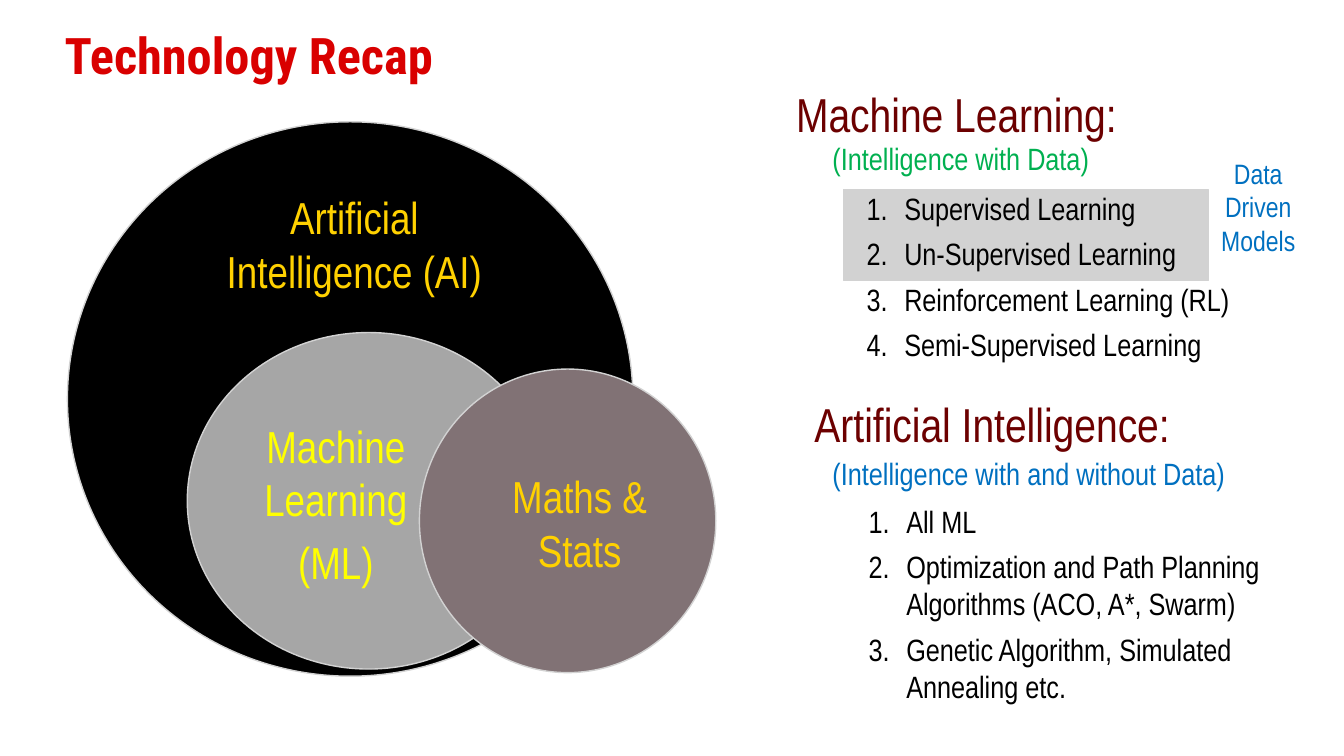
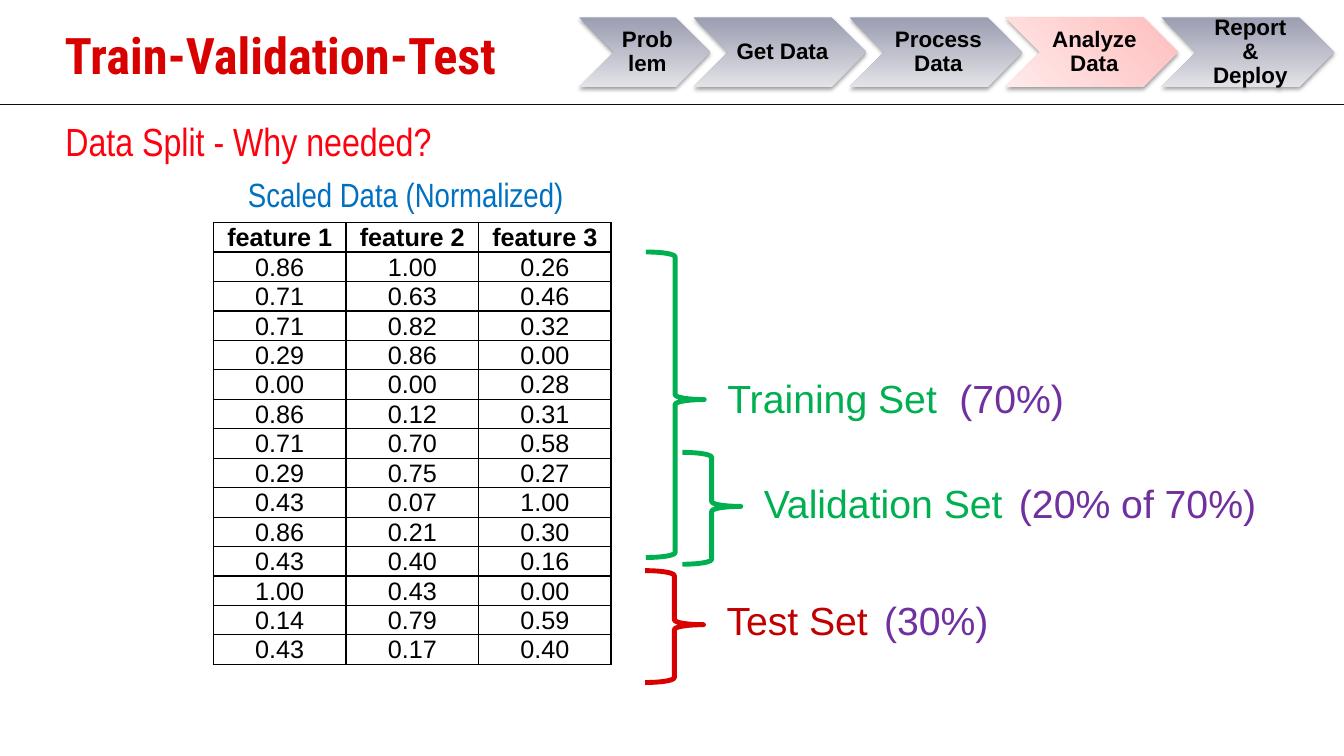
from lxml.etree import SubElement
from pptx import Presentation
from pptx.dml.color import RGBColor
from pptx.enum.shapes import MSO_CONNECTOR, MSO_SHAPE
from pptx.enum.text import MSO_ANCHOR, MSO_AUTO_SIZE, PP_ALIGN
from pptx.oxml.ns import qn
from pptx.util import Cm, Pt

COLORS = {
    "black": "000000", "white": "FFFFFF", "rule": "0D0D0D",
    "outline": "D2D2D2", "gray": "A6A6A6", "mauve": "817275",
    "red": "D90000", "bright red": "FF000F", "dark red": "C00000", "maroon": "6C0000",
    "gold": "FFD100", "yellow": "FFFF00", "green": "00B050", "blue": "0070C0",
    "purple": "7030A0", "step top": "9B9DB1", "step bottom": "E2E2E7",
    "active top": "FFBDBD", "active bottom": "FFEAEA",
}
NARROW, BODY, HEADING = "Arial Narrow", "Arial", "Roboto Condensed"
TITLE_BOX = (1.63, 0.6, 12.1, 1.98)
SLIDE_WIDTH, SLIDE_HEIGHT = 33.87, 19.05

STEPS = ["Problem", "Get Data", "Process Data", "Analyze Data", "Report & Deploy"]
ACTIVE_STEP = "Analyze Data"

SCALED_DATA = [
    ("feature 1", "feature 2", "feature 3"),
    ("0.86", "1.00", "0.26"),
    ("0.71", "0.63", "0.46"),
    ("0.71", "0.82", "0.32"),
    ("0.29", "0.86", "0.00"),
    ("0.00", "0.00", "0.28"),
    ("0.86", "0.12", "0.31"),
    ("0.71", "0.70", "0.58"),
    ("0.29", "0.75", "0.27"),
    ("0.43", "0.07", "1.00"),
    ("0.86", "0.21", "0.30"),
    ("0.43", "0.40", "0.16"),
    ("1.00", "0.43", "0.00"),
    ("0.14", "0.79", "0.59"),
    ("0.43", "0.17", "0.40"),
]


def rgb(color):
    return RGBColor.from_string(COLORS[color])


def lengths(box):
    return [Cm(value) for value in box]


class Deck:
    """Holds the shared style and the slide being built."""

    def __init__(self):
        self.prs = Presentation()
        self.prs.slide_width, self.prs.slide_height = Cm(SLIDE_WIDTH), Cm(SLIDE_HEIGHT)
        self.slide = None

    def add_slide(self, title):
        self.slide = self.prs.slides.add_slide(self.prs.slide_layouts[5])
        heading = self.slide.shapes.title
        heading.left, heading.top, heading.width, heading.height = lengths(TITLE_BOX)
        self.fill_frame(heading.text_frame, [title], 36, "red", HEADING, bold=True)

    def style(self, paragraph, size, color, font, bold=False):
        paragraph.font.size = Pt(size)
        paragraph.font.name = font
        paragraph.font.bold = bold
        paragraph.font.color.rgb = rgb(color)

    def fill_frame(self, frame, lines, size, color, font, align=PP_ALIGN.LEFT,
                   bold=False, numbered=False):
        frame.word_wrap = True
        frame.auto_size = MSO_AUTO_SIZE.NONE
        frame.vertical_anchor = MSO_ANCHOR.TOP
        frame.margin_left = frame.margin_top = frame.margin_right = frame.margin_bottom = 0
        for index, line in enumerate(lines):
            paragraph = frame.add_paragraph() if index else frame.paragraphs[0]
            paragraph.text = line
            paragraph.alignment = align
            paragraph.space_before = Pt(6 if index else 0)
            if numbered:
                properties = paragraph._p.get_or_add_pPr()
                properties.set("marL", str(Cm(0.95)))
                properties.set("indent", str(-Cm(0.95)))
                SubElement(properties, qn("a:buAutoNum"), type="arabicPeriod")
            self.style(paragraph, size, color, font, bold)

    def text(self, box, lines, size, color, font=NARROW, centered=False, numbered=False):
        frame = self.slide.shapes.add_textbox(*lengths(box)).text_frame
        align = PP_ALIGN.CENTER if centered else PP_ALIGN.LEFT
        self.fill_frame(frame, lines, size, color, font, align, numbered=numbered)

    def shape(self, preset, box, fill=None, line=None, weight=1):
        shape = self.slide.shapes.add_shape(preset, *lengths(box))
        shape.shadow.inherit = False
        if fill:
            shape.fill.solid()
            shape.fill.fore_color.rgb = rgb(fill)
        else:
            shape.fill.background()
        if line:
            shape.line.color.rgb = rgb(line)
            shape.line.width = Pt(weight)
        else:
            shape.line.fill.background()
        return shape

    def brace(self, box, color):
        brace = self.shape(MSO_SHAPE.RIGHT_BRACE, box, line=color, weight=3.5)
        brace.adjustments[0], brace.adjustments[1] = 0.083, 0.483

    def step(self, box, label, active):
        chevron = self.shape(MSO_SHAPE.CHEVRON, box)
        kind = "active" if active else "step"
        chevron.fill.gradient()
        chevron.fill.gradient_angle = 225 if active else 270
        for stop, end in zip(chevron.fill.gradient_stops, ("top", "bottom")):
            stop.color.rgb = rgb(f"{kind} {end}")
        # Soft shadow below the chevron
        effects = chevron._element.spPr.find(qn("a:effectLst"))
        shadow = SubElement(effects, qn("a:outerShdw"), blurRad=str(Pt(3.1)),
                            dist=str(Pt(1.6)), dir="5400000", rotWithShape="0")
        shade = SubElement(shadow, qn("a:srgbClr"), val=COLORS["black"])
        SubElement(shade, qn("a:alpha"), val="38000")
        frame = chevron.text_frame
        self.fill_frame(frame, [label], 16, "black", BODY, PP_ALIGN.CENTER, bold=True)
        frame.vertical_anchor = MSO_ANCHOR.MIDDLE
        frame.margin_left = Cm(0.18)
        frame.margin_top = frame.margin_right = frame.margin_bottom = Cm(0.05)
        frame.paragraphs[0].line_spacing = 0.9

    def rule(self, y):
        line = self.slide.shapes.add_connector(
            MSO_CONNECTOR.STRAIGHT, 0, Cm(y), Cm(SLIDE_WIDTH), Cm(y))
        line.line.color.rgb = rgb("rule")
        line.line.width = Pt(1)
        SubElement(line._element.spPr, qn("a:effectLst"))

    def table(self, left, top, column_width, row_height, rows):
        columns = len(rows[0])
        table = self.slide.shapes.add_table(
            len(rows), columns, Cm(left), Cm(top),
            Cm(column_width * columns), Cm(row_height * len(rows))).table
        table.first_row = table.horz_banding = False
        for column in table.columns:
            column.width = Cm(column_width)
        for r, values in enumerate(rows):
            table.rows[r].height = Cm(row_height)
            for c, value in enumerate(values):
                self.cell(table.cell(r, c), value, bold=r == 0)

    def cell(self, cell, value, bold):
        properties = cell._tc.get_or_add_tcPr()
        for side in ("lnL", "lnR", "lnT", "lnB"):
            border = SubElement(properties, qn(f"a:{side}"), w=str(Pt(1)))
            fill = SubElement(border, qn("a:solidFill"))
            SubElement(fill, qn("a:srgbClr"), val=COLORS["black"])
        cell.fill.solid()
        cell.fill.fore_color.rgb = rgb("white")
        cell.margin_left = cell.margin_right = cell.margin_top = Cm(0.03)
        cell.margin_bottom = 0
        cell.vertical_anchor = MSO_ANCHOR.BOTTOM
        paragraph = cell.text_frame.paragraphs[0]
        paragraph.text = value
        paragraph.alignment = PP_ALIGN.CENTER
        self.style(paragraph, 18, "black", BODY, bold)


def technology_recap(deck):
    deck.add_slide("Technology Recap")

    # Overlapping fields
    for box, fill in [((1.7, 3.07, 14.25, 13.97), "black"),
                      ((4.72, 8.38, 9.14, 8.48), "gray"),
                      ((10.57, 9.3, 7.47, 7.65), "mauve")]:
        deck.shape(MSO_SHAPE.OVAL, box, fill, "outline")
    for box, lines, color in [
            ((5, 4.78, 7.87, 3.96), ["Artificial Intelligence (AI)"], "gold"),
            ((5.38, 10.54, 6.17, 4.75), ["Machine Learning", "(ML)"], "yellow"),
            ((12.17, 11.81, 4.88, 2.24), ["Maths & Stats"], "gold")]:
        deck.text(box, lines, 32, color, centered=True)

    # Highlight behind the data-driven kinds of learning
    deck.shape(MSO_SHAPE.RECTANGLE, (21.26, 4.78, 9.19, 2.29), "outline", "outline")
    deck.text((30.3, 3.94, 2.82, 2.41), ["Data Driven Models"], 20, "blue", centered=True)

    # Heading, remark and numbered list of each field
    for heading_box, heading, remark_top, remark, color, list_box, items in [
            ((19.51, 2.13, 9.19, 1.63), "Machine Learning:",
             3.51, "(Intelligence with Data)", "green", (21.84, 4.78, 10.74, 5.69),
             ["Supervised Learning", "Un-Supervised Learning",
              "Reinforcement Learning (RL)", "Semi-Supervised Learning"]),
            ((19.76, 9.96, 10.49, 1.63), "Artificial Intelligence:",
             11.46, "(Intelligence with and without Data)", "blue",
             (21.89, 12.67, 11.25, 5.79),
             ["All ML", "Optimization and Path Planning Algorithms (ACO, A*, Swarm)",
              "Genetic Algorithm, Simulated Annealing etc."])]:
        deck.text(heading_box, [heading], 34, "maroon", centered=True)
        deck.text((20.98, remark_top, 12.14, 1.27), [remark], 22, color)
        deck.text(list_box, items, 22, "black", numbered=True)


def train_validation_test(deck):
    deck.add_slide("Train-Validation-Test")
    deck.rule(2.64)

    # Process steps
    left, overlap = 14.6, 0.42
    for index, label in enumerate(STEPS):
        width = 4.35 if index else 3.3
        deck.step((left, 0.44, width, 1.75), label, label == ACTIVE_STEP)
        left += width - overlap

    # Scaled data
    deck.text((1.65, 2.95, 10.8, 1.35), ["Data Split - Why needed?"], 28, "bright red")
    deck.text((6.25, 4.39, 8.84, 1.63), ["Scaled Data (Normalized)"], 24, "blue")
    deck.table(5.38, 5.61, 3.34, 0.72, SCALED_DATA)

    # Split of the rows: brace, name and share of each set
    for brace_left, brace_top, brace_height, brace_color, name, color, name_top, share, share_left in [
            (16.28, 6.35, 7.7, "green", "Training Set", "green", 9.42, "(70%)", 24.18),
            (16.26, 14.38, 2.82, "red", "Test Set", "dark red", 15.03, "(30%)", 22.28),
            (17.2, 11.4, 2.82, "green", "Validation Set", "green", 12.09,
             "(20% of 70%)", 25.68)]:
        deck.brace((brace_left, brace_top, 1.47, brace_height), brace_color)
        deck.text((brace_left + 2.05, name_top, 7.29, 1.6), [name], 28, color, BODY)
        deck.text((share_left, name_top, 6.91, 1.6), [share], 28, "purple", BODY)


def main():
    deck = Deck()
    technology_recap(deck)
    train_validation_test(deck)
    deck.prs.save("out.pptx")


if __name__ == "__main__":
    main()
